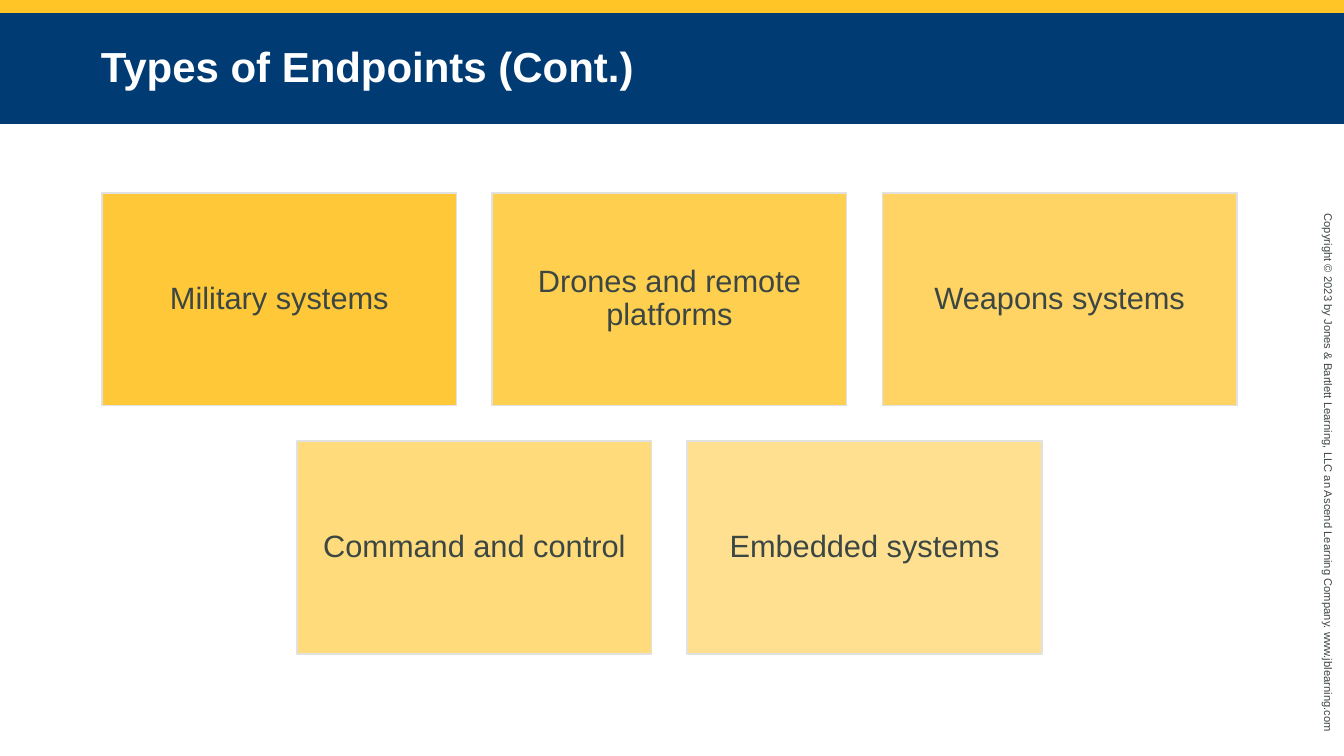
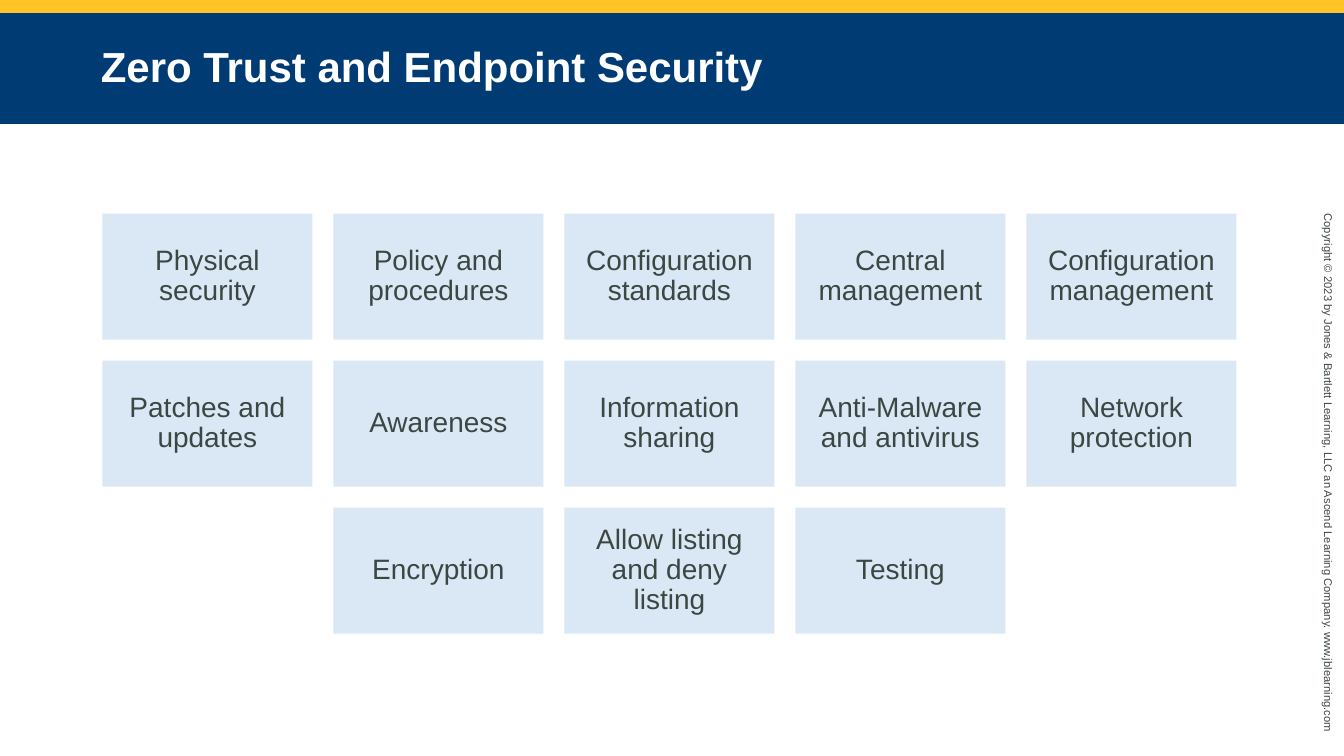
"""Build two endpoint security slides, each with a centred grid of labelled tiles."""
from dataclasses import dataclass

from lxml import etree
from pptx import Presentation
from pptx.dml.color import RGBColor
from pptx.enum import shapes, text
from pptx.oxml import ns
from pptx.shapes.autoshape import Shape
from pptx.slide import Slide
from pptx.text.text import TextFrame
from pptx.util import Pt


@dataclass(frozen=True)
class Theme:
    font: str = "Arial"
    gold: str = "FFC425"
    navy: str = "003B74"
    white: str = "FFFFFF"
    ink: str = "3C4743"
    tile_gold: str = "FFC324"
    tile_blue: str = "D9E8F4"
    tile_edge: str = "E1E1E1"
    title_size: float = 30
    copyright_size: float = 8


@dataclass(frozen=True)
class Box:
    left: float
    top: float
    width: float
    height: float

    def lengths(self) -> tuple[Pt, Pt, Pt, Pt]:
        return Pt(self.left), Pt(self.top), Pt(self.width), Pt(self.height)


@dataclass(frozen=True)
class TileGrid:
    rows: list[list[str]]
    top: float
    width: float
    height: float
    gap: float
    text_size: float
    fill: str
    edge: str | None = None
    opacities: tuple[int, ...] = ()


@dataclass(frozen=True)
class Topic:
    title: str
    grid: TileGrid


THEME = Theme()
SLIDE_WIDTH, SLIDE_HEIGHT = 960, 540
GRID_CENTER = 478.2
GOLD_STRIP = Box(0, 0, SLIDE_WIDTH, 9.4)
TITLE_BAND = Box(0, 9.4, SLIDE_WIDTH, 79.2)
COPYRIGHT_BOX = Box(751.7, 334.1, 394.6, 17.3)
COPYRIGHT = (
    "Copyright © 2023 by Jones & Bartlett Learning, LLC an Ascend Learning Company. "
    "www.jblearning.com"
)

TOPICS = [
    Topic(
        "Types of Endpoints (Cont.)",
        TileGrid(
            rows=[
                ["Military systems", "Drones and remote platforms", "Weapons systems"],
                ["Command and control", "Embedded systems"],
            ],
            top=137.8, width=253.4, height=152, gap=25.3, text_size=22,
            fill=THEME.tile_gold, edge=THEME.tile_edge, opacities=(90, 80, 70, 60, 50),
        ),
    ),
    Topic(
        "Zero Trust and Endpoint Security",
        TileGrid(
            rows=[
                ["Physical security", "Policy and procedures", "Configuration standards",
                 "Central management", "Configuration management"],
                ["Patches and updates", "Awareness", "Information sharing",
                 "Anti-Malware and antivirus", "Network protection"],
                ["Encryption", "Allow listing and deny listing", "Testing"],
            ],
            top=152.6, width=150, height=90, gap=15, text_size=20, fill=THEME.tile_blue,
        ),
    ),
]


def add_rectangle(slide: Slide, box: Box, fill: str, edge: str | None = None) -> Shape:
    rectangle = slide.shapes.add_shape(shapes.MSO_SHAPE.RECTANGLE, *box.lengths())
    rectangle.shadow.inherit = False
    rectangle.fill.solid()
    rectangle.fill.fore_color.rgb = RGBColor.from_string(fill)
    if edge:
        rectangle.line.color.rgb = RGBColor.from_string(edge)
        rectangle.line.width = Pt(1)
    else:
        rectangle.line.fill.background()
    return rectangle


def set_opacity(shape: Shape, percent: int) -> None:
    color = shape.fill._xPr.find(ns.qn("a:solidFill"))[0]
    etree.SubElement(color, ns.qn("a:alpha"), val=str(percent * 1000))


def write(frame: TextFrame, wording: str, size: float, color: str, inset_x: float,
          inset_y: float, align: text.PP_ALIGN = text.PP_ALIGN.LEFT,
          spacing: float = 1.0, bold: bool = False) -> None:
    frame.word_wrap = True
    frame.vertical_anchor = text.MSO_ANCHOR.MIDDLE
    frame.margin_left = frame.margin_right = Pt(inset_x)
    frame.margin_top = frame.margin_bottom = Pt(inset_y)
    paragraph = frame.paragraphs[0]
    paragraph.text = wording
    paragraph.alignment = align
    paragraph.line_spacing = spacing
    paragraph.font.name = THEME.font
    paragraph.font.size = Pt(size)
    paragraph.font.bold = bold
    paragraph.font.color.rgb = RGBColor.from_string(color)


def add_frame(slide: Slide, title: str) -> None:
    add_rectangle(slide, GOLD_STRIP, THEME.gold)
    copyright_line = slide.shapes.add_textbox(*COPYRIGHT_BOX.lengths())
    copyright_line.rotation = 90
    write(copyright_line.text_frame, COPYRIGHT, THEME.copyright_size, THEME.ink, 7.2, 3.6)
    band = add_rectangle(slide, TITLE_BAND, THEME.navy)
    write(band.text_frame, title, THEME.title_size, THEME.white, 72, 3.6,
          spacing=0.95, bold=True)


def add_grid(slide: Slide, grid: TileGrid) -> None:
    tiles = []
    for row, labels in enumerate(grid.rows):
        row_width = len(labels) * (grid.width + grid.gap) - grid.gap
        left = GRID_CENTER - row_width / 2
        top = grid.top + row * (grid.height + grid.gap)
        for column, label in enumerate(labels):
            box = Box(left + column * (grid.width + grid.gap), top, grid.width, grid.height)
            tile = add_rectangle(slide, box, grid.fill, grid.edge)
            inset = 0.3 * grid.text_size
            write(tile.text_frame, label, grid.text_size, THEME.ink, inset, inset,
                  text.PP_ALIGN.CENTER, 0.9)
            tiles.append(tile)
    for tile, opacity in zip(tiles, grid.opacities):
        set_opacity(tile, opacity)


def main() -> None:
    deck = Presentation()
    deck.slide_width, deck.slide_height = Pt(SLIDE_WIDTH), Pt(SLIDE_HEIGHT)
    for topic in TOPICS:
        slide = deck.slides.add_slide(deck.slide_layouts[6])
        add_frame(slide, topic.title)
        add_grid(slide, topic.grid)
    deck.save("out.pptx")


if __name__ == "__main__":
    main()
